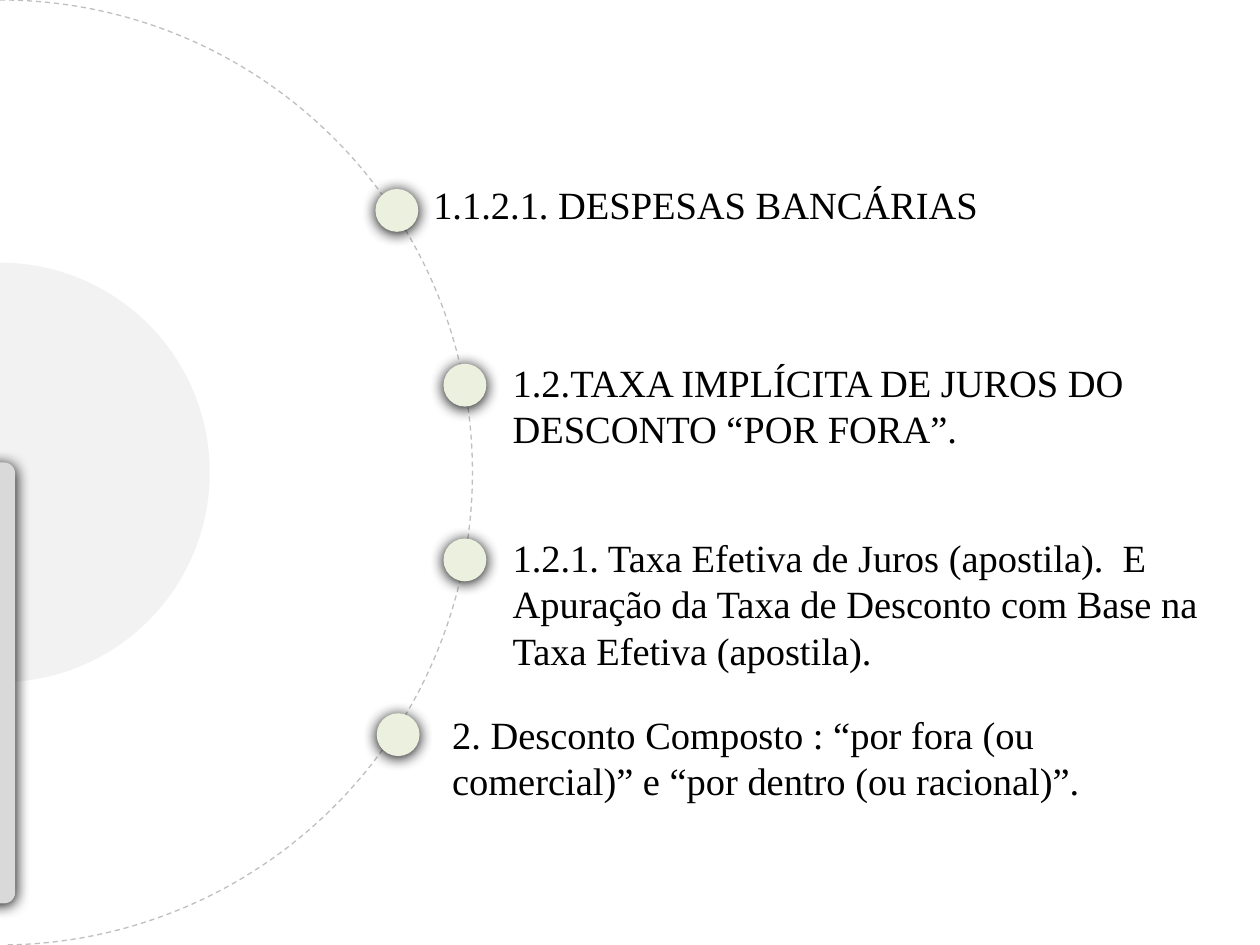
from lxml import etree
from pptx import Presentation
from pptx.dml.color import RGBColor
from pptx.enum.dml import MSO_LINE_DASH_STYLE as Dash
from pptx.enum.shapes import MSO_SHAPE as Shape
from pptx.enum.text import MSO_AUTO_SIZE as AutoSize
from pptx.oxml import parse_xml
from pptx.oxml.ns import nsdecls, qn
from pptx.util import Inches, Pt

WHITE = RGBColor(0xFF, 0xFF, 0xFF)
BLACK = RGBColor(0x00, 0x00, 0x00)
PALE_GREEN = RGBColor(0xEB, 0xF1, 0xDE)
LIGHT_GRAY = RGBColor(0xF2, 0xF2, 0xF2)
PANEL_GRAY = RGBColor(0xD9, 0xD9, 0xD9)
LINE_GRAY = RGBColor(0xBF, 0xBF, 0xBF)

SLIDE_HEIGHT = 7.5
DOT_SIZE = 0.34
DOT_TOP = 1.5
DOT_STEP = 1.387

# Dot left, then text left, top, width, height, and wording
TOPICS = [
    (2.98, (3.34, 1.39, 5.92, 0.47), "1.1.2.1. DESPESAS BANCÁRIAS"),
    (3.52, (3.97, 2.8, 5.52, 0.84),
     "1.2.TAXA IMPLÍCITA DE JUROS DO DESCONTO “POR FORA”."),
    (3.52, (3.97, 4.19, 5.76, 1.58),
     "1.2.1. Taxa Efetiva de Juros (apostila).  E Apuração da Taxa de "
     "Desconto com Base na Taxa Efetiva (apostila)."),
    (2.99, (3.49, 5.59, 5.76, 0.84),
     "2. Desconto Composto : “por fora (ou comercial)” e “por dentro "
     "(ou racional)”."),
]


def add_plain_shape(slide, kind, box, fill):
    shape = slide.shapes.add_shape(kind, *map(Inches, box))
    shape.shadow.inherit = False
    shape.fill.solid()
    shape.fill.fore_color.rgb = fill
    shape.line.fill.background()
    return shape


def add_soft_shadow(shape):
    effects = shape._element.spPr.find(qn("a:effectLst"))
    effects.append(parse_xml(
        f'<a:outerShdw {nsdecls("a")} blurRad="{Pt(8.5)}" dist="{Pt(1)}" '
        'dir="5400000" algn="ctr" rotWithShape="0">'
        f'<a:srgbClr val="{BLACK}"/></a:outerShdw>'))


def add_half_disc(slide, diameter, fill):
    """Right half of a disc centred on the middle of the slide's left edge."""
    radius = diameter / 2
    box = (-radius, SLIDE_HEIGHT / 2 - radius, diameter, diameter)
    arc = add_plain_shape(slide, Shape.ARC, box, fill)
    arc.adjustments[0] = 162
    arc.adjustments[1] = 53.7
    return arc


def add_orbit(slide, diameter):
    orbit = add_half_disc(slide, diameter, WHITE)
    orbit.line.color.rgb = LINE_GRAY
    orbit.line.width = Pt(0.75)
    orbit.line.dash_style = Dash.DASH


def add_topic_text(slide, box, text):
    frame = slide.shapes.add_textbox(*map(Inches, box)).text_frame
    frame.word_wrap = True
    frame.auto_size = AutoSize.SHAPE_TO_FIT_TEXT
    run = frame.paragraphs[0].add_run()
    run.text = text
    run.font.name = "Times New Roman"
    run.font.size = Pt(22)
    run.font.color.rgb = BLACK


def add_topic_dot(slide, left, top):
    box = (left, top, DOT_SIZE, DOT_SIZE)
    add_soft_shadow(add_plain_shape(slide, Shape.OVAL, box, PALE_GREEN))


def add_side_panel(slide, box):
    panel = add_plain_shape(slide, Shape.ROUNDED_RECTANGLE, box, PANEL_GRAY)
    panel.adjustments[0] = 0.35
    panel.rotation = 180
    add_soft_shadow(panel)


def main():
    presentation = Presentation()
    presentation.slide_width = Inches(10)
    presentation.slide_height = Inches(SLIDE_HEIGHT)
    slide = presentation.slides.add_slide(presentation.slide_layouts[6])

    add_orbit(slide, SLIDE_HEIGHT)
    for _, box, text in TOPICS:
        add_topic_text(slide, box, text)
    for index, (dot_left, _, _) in enumerate(TOPICS):
        add_topic_dot(slide, dot_left, DOT_TOP + index * DOT_STEP)
    add_half_disc(slide, 3.33, LIGHT_GRAY)
    add_side_panel(slide, (-0.13, 3.67, 0.25, 3.5))

    presentation.save("out.pptx")


if __name__ == "__main__":
    main()
